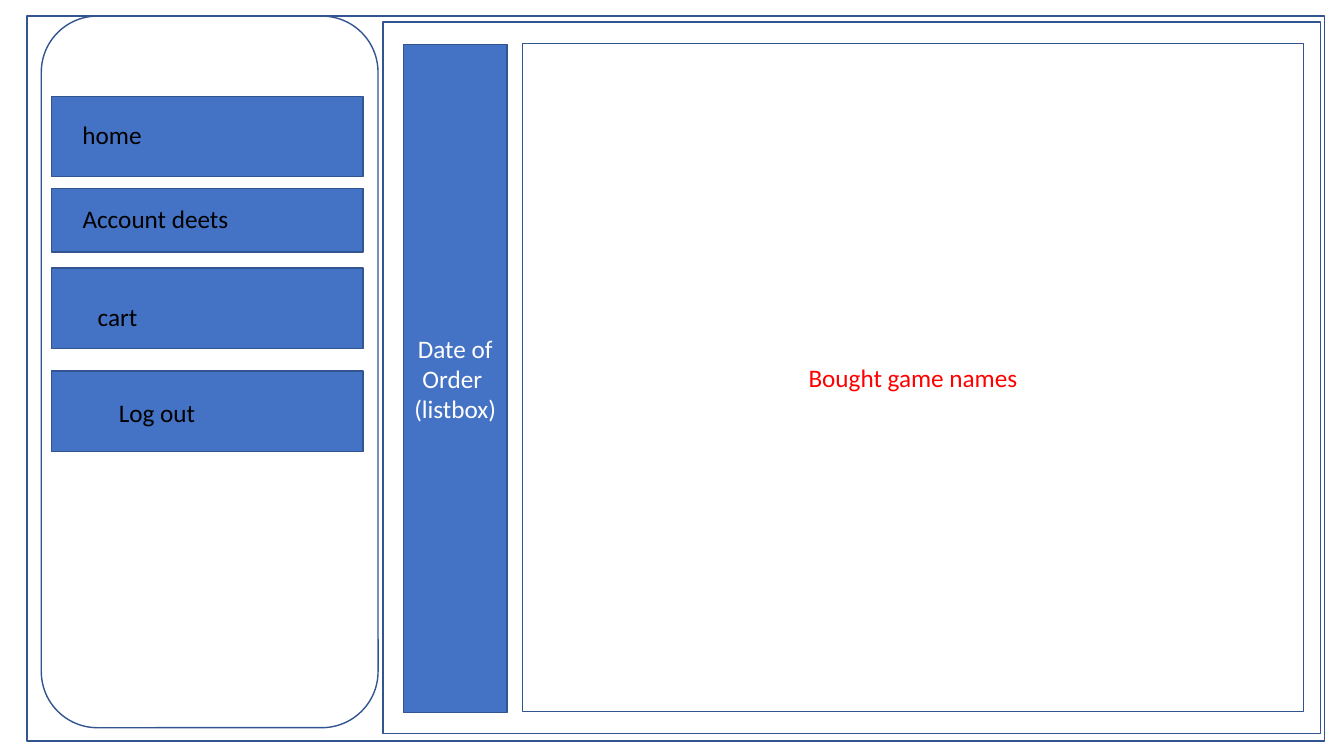
from dataclasses import dataclass

from pptx import Presentation
from pptx.dml.color import RGBColor
from pptx.enum.shapes import MSO_SHAPE
from pptx.enum.text import MSO_ANCHOR, MSO_AUTO_SIZE, PP_ALIGN
from pptx.slide import Slide
from pptx.text.text import TextFrame
from pptx.util import Inches, Pt

WHITE = RGBColor(0xFF, 0xFF, 0xFF)
BLACK = RGBColor(0x00, 0x00, 0x00)
RED = RGBColor(0xFF, 0x00, 0x00)
BLUE = RGBColor(0x44, 0x72, 0xC4)
OUTLINE = RGBColor(0x32, 0x54, 0x91)
BUTTON_LEFT = 0.51
BUTTON_WIDTH = 3.09
LABEL_HEIGHT = 0.4


@dataclass(frozen=True)
class Panel:
    """A bordered area, with optional centred text."""
    left: float
    top: float
    width: float
    height: float
    fill: RGBColor = WHITE
    preset: MSO_SHAPE = MSO_SHAPE.RECTANGLE
    text: str = ""
    text_color: RGBColor = WHITE


@dataclass(frozen=True)
class MenuItem:
    """A sidebar button and the place of its label."""
    text: str
    top: float
    height: float
    label_left: float
    label_top: float
    label_width: float


FRAMES = [
    Panel(0.27, 0.16, 12.87, 7.19),
    Panel(0.41, 0.16, 3.34, 7.06, preset=MSO_SHAPE.ROUNDED_RECTANGLE),
    Panel(3.8, 0.22, 9.3, 7.06),
]
MENU = [
    MenuItem("home", 0.96, 0.79, 0.72, 1.13, 2.6),
    MenuItem("Account deets", 1.87, 0.63, 0.72, 1.97, 2.35),
    MenuItem("cart", 2.66, 0.8, 0.87, 2.94, 2.13),
    MenuItem("Log out", 3.68, 0.8, 1.08, 3.89, 1.99),
]
ORDERS = [
    Panel(4, 0.44, 1.03, 6.63, BLUE, text="Date of\nOrder \n(listbox)"),
    Panel(5.18, 0.43, 7.75, 6.63, text="Bought game names", text_color=RED),
]


def write_text(frame: TextFrame, text: str, color: RGBColor, align: PP_ALIGN) -> None:
    """Fill a text frame and format every run."""
    frame.word_wrap = True
    frame.text = text
    for para in frame.paragraphs:
        para.alignment = align
        for span in para.runs:
            span.font.name = "Calibri"
            span.font.size = Pt(18)
            span.font.color.rgb = color


def draw_panel(page: Slide, panel: Panel) -> None:
    """Draw one bordered area."""
    box = page.shapes.add_shape(
        panel.preset, Inches(panel.left), Inches(panel.top),
        Inches(panel.width), Inches(panel.height))
    box.shadow.inherit = False
    box.fill.solid()
    box.fill.fore_color.rgb = panel.fill
    box.line.color.rgb = OUTLINE
    box.line.width = Pt(1)
    if panel.text:
        box.text_frame.vertical_anchor = MSO_ANCHOR.MIDDLE
        write_text(box.text_frame, panel.text, panel.text_color, PP_ALIGN.CENTER)


def draw_label(page: Slide, item: MenuItem) -> None:
    """Write the label of one menu button."""
    box = page.shapes.add_textbox(
        Inches(item.label_left), Inches(item.label_top),
        Inches(item.label_width), Inches(LABEL_HEIGHT))
    write_text(box.text_frame, item.text, BLACK, PP_ALIGN.LEFT)
    box.text_frame.auto_size = MSO_AUTO_SIZE.SHAPE_TO_FIT_TEXT


def main() -> None:
    """Build the order history wireframe."""
    deck = Presentation()
    deck.slide_width = Inches(13.33)
    deck.slide_height = Inches(7.5)
    page = deck.slides.add_slide(deck.slide_layouts.get_by_name("Blank"))
    buttons = [Panel(BUTTON_LEFT, item.top, BUTTON_WIDTH, item.height, BLUE)
               for item in MENU]
    for panel in FRAMES + buttons:
        draw_panel(page, panel)
    for item in MENU:
        draw_label(page, item)
    for panel in ORDERS:
        draw_panel(page, panel)
    deck.save("out.pptx")


if __name__ == "__main__":
    main()
